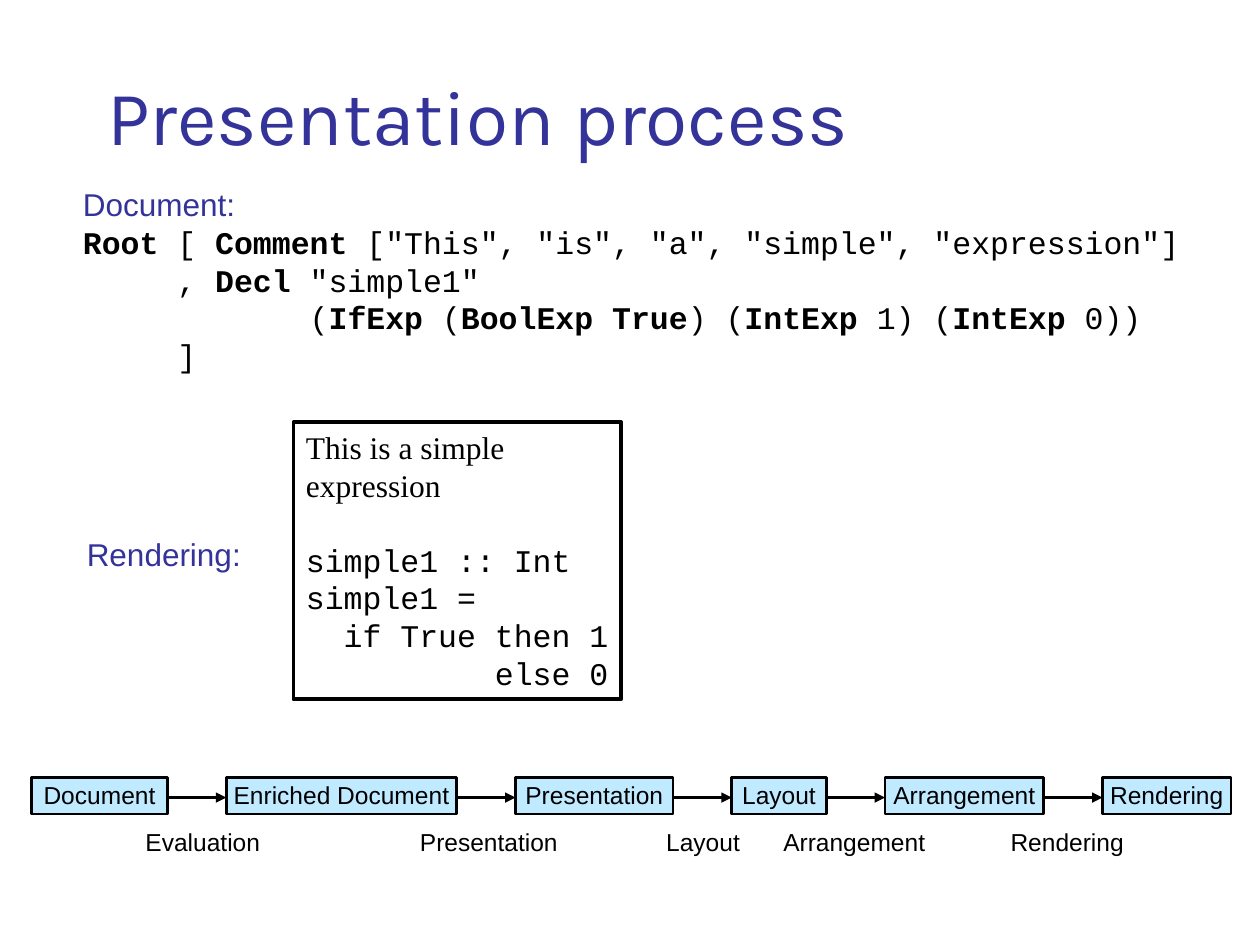
from lxml.etree import SubElement
from pptx import Presentation
from pptx.dml.color import RGBColor
from pptx.enum.shapes import MSO_CONNECTOR as Connector, MSO_SHAPE as Shape
from pptx.enum.text import MSO_ANCHOR as Anchor, MSO_AUTO_SIZE as AutoSize, PP_ALIGN as Align
from pptx.oxml.ns import qn
from pptx.util import Inches, Pt

BLACK, BLUE, PALE_BLUE, WHITE = "000000", "333399", "BFEAFF", "FFFFFF"
MONO, SANS, SERIF = "Courier New", "Arial", "Times New Roman"

DOCUMENT_CODE = [
    '**Root** [ **Comment** ["This", "is", "a", "simple", "expression"]',
    '     , **Decl** "simple1"',
    "            (**IfExp** (**BoolExp True**) (**IntExp** 1) (**IntExp** 0))",
    "     ]",
]
RENDERED_TEXT = ["This is a simple", "expression"]
RENDERED_CODE = ["simple1 :: Int", "simple1 =", "  if True then 1", "          else 0"]
STAGES = [("Document", 1.08), ("Enriched Document", 1.83), ("Presentation", 1.25),
          ("Layout", 0.75), ("Arrangement", 1.26), ("Rendering", 1.02)]
STEPS = [("Evaluation", 1.61), ("Presentation", 3.88), ("Layout", 5.58),
         ("Arrangement", 6.78), ("Rendering", 8.47)]


def color(value):
    """Turn a hex string into a colour."""
    return RGBColor.from_string(value)


def prepare_frame(shape, margins=(0.1, 0.05), anchor=Anchor.TOP, auto_size=AutoSize.NONE):
    """Set the margins and fitting of a shape's text and return its frame."""
    frame = shape.text_frame
    frame.word_wrap = False
    frame.auto_size = auto_size
    frame.vertical_anchor = anchor
    frame.margin_left = frame.margin_right = Inches(margins[0])
    frame.margin_top = frame.margin_bottom = Inches(margins[1])
    return frame


def add_text(frame, text, size=18, font=SANS, fill=BLACK, align=Align.LEFT, space_before=0):
    """Write one paragraph, with the parts between double asterisks in bold."""
    first = frame.paragraphs[0]
    paragraph = frame.add_paragraph() if first.runs else first
    paragraph.alignment = align
    paragraph.space_before = Pt(space_before)
    for index, part in enumerate(text.split("**")):
        if part:
            run = paragraph.add_run()
            run.text = part
            run.font.name = font
            run.font.size = Pt(size)
            run.font.bold = index % 2 == 1
            run.font.color.rgb = color(fill)


def add_box(slide, left, top, width, height, fill, line_width):
    """Add a filled rectangle with a black outline."""
    box = slide.shapes.add_shape(Shape.RECTANGLE, Inches(left), Inches(top),
                                 Inches(width), Inches(height))
    box.shadow.inherit = False
    box.fill.solid()
    box.fill.fore_color.rgb = color(fill)
    box.line.color.rgb = color(BLACK)
    box.line.width = Pt(line_width)
    return box


def add_text_box(slide, left, top, width, height):
    """Add an empty text box."""
    return slide.shapes.add_textbox(Inches(left), Inches(top), Inches(width), Inches(height))


def add_arrow(slide, start, end, y):
    """Add a horizontal arrow."""
    arrow = slide.shapes.add_connector(Connector.STRAIGHT, Inches(start), Inches(y),
                                       Inches(end), Inches(y))
    arrow.line.color.rgb = color(BLACK)
    arrow.line.width = Pt(1.5)
    SubElement(arrow.line._get_or_add_ln(), qn("a:tailEnd"), type="triangle")
    SubElement(arrow._element.spPr, qn("a:effectLst"))


def place_title(slide, left, top, width, height):
    """Move and format the title placeholder."""
    title = slide.shapes.title
    title.left, title.top = Inches(left), Inches(top)
    title.width, title.height = Inches(width), Inches(height)
    frame = prepare_frame(title, anchor=Anchor.BOTTOM)
    frame.word_wrap = True
    add_text(frame, "Presentation process", size=44, font="Karla", fill=BLUE)


def add_document(slide, left, top, width, height):
    """Add the document heading and its code."""
    frame = prepare_frame(add_text_box(slide, left, top, width, height),
                          auto_size=AutoSize.SHAPE_TO_FIT_TEXT)
    add_text(frame, "Document:", fill=BLUE)
    for line in DOCUMENT_CODE:
        add_text(frame, line, font=MONO)


def add_rendering(slide, left, top, width, height):
    """Add the rendering label and the framed result beside it."""
    label = add_text_box(slide, left, top + 0.85, 1.42, 0.4)
    add_text(prepare_frame(label, auto_size=AutoSize.SHAPE_TO_FIT_TEXT), "Rendering:", fill=BLUE)
    box_left = left + 1.74
    box = add_box(slide, box_left, top, width - 1.74, height, WHITE, 2.25)
    frame = prepare_frame(box)
    for line in RENDERED_TEXT:
        add_text(frame, line, font=SERIF)
    for index, line in enumerate(RENDERED_CODE):
        add_text(frame, line, font=MONO, space_before=0 if index else 21)


def add_pipeline(slide, left, top, width, height):
    """Add the evenly spaced stages, the arrows between them and the step names."""
    gap = (width - sum(stage_width for _, stage_width in STAGES)) / (len(STAGES) - 1)
    x = left
    for index, (name, stage_width) in enumerate(STAGES):
        if index:
            add_arrow(slide, x - gap, x, top + 0.16)
        box = add_box(slide, x, top, stage_width, 0.29, PALE_BLUE, 1.5)
        add_text(prepare_frame(box, (0.05, 0.02)), name, size=14, align=Align.CENTER)
        x += stage_width + gap
    for name, center in STEPS:
        label = add_text_box(slide, center - 0.71, top + height - 0.29, 1.42, 0.29)
        add_text(prepare_frame(label, (0.05, 0.02)), name, size=14, align=Align.CENTER)


def main():
    """Build the slide and save it."""
    presentation = Presentation()
    presentation.slide_width, presentation.slide_height = Inches(10), Inches(7.5)
    slide = presentation.slides.add_slide(presentation.slide_layouts[5])
    place_title(slide, 0.75, 0.08, 8.5, 1.25)
    add_document(slide, 0.56, 1.42, 8.9, 1.6)
    add_rendering(slide, 0.59, 3.35, 4.34, 2.2)
    add_pipeline(slide, 0.25, 6.17, 9.52, 0.66)
    presentation.save("out.pptx")


if __name__ == "__main__":
    main()
